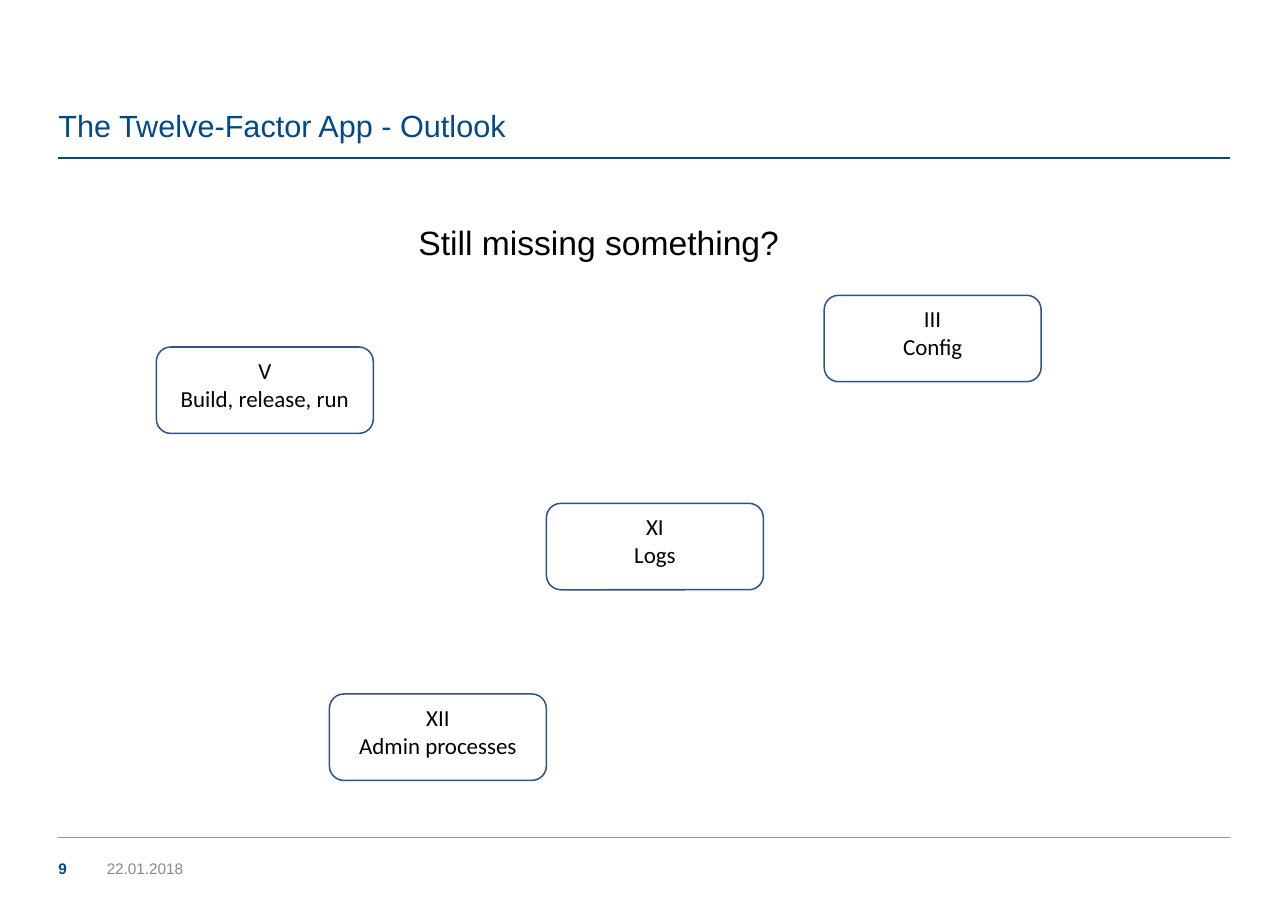
"""Build the outlook slide on the Twelve-Factor App."""
from pptx import Presentation
from pptx import util as u
from pptx.dml import color
from pptx.enum import shapes, text
from pptx.oxml.ns import qn

LEFT, RIGHT = 38.2, 803.5
FACTORS = [
    ("V", "Build, release, run", 102.2, 226.8),
    ("XI", "Logs", 357.1, 329),
    ("XII", "Admin processes", 215.3, 453.6),
    ("III", "Config", 538.6, 193),
]


def rgb(code):
    return color.RGBColor.from_string(code)


class OutlookSlide:
    blue, grey, black, white = "004A8C", "898989", "000000", "FFFFFF"

    def __init__(self, deck):
        self.page = deck.slides.add_slide(deck.slide_layouts[5])

    def set_text(self, box, lines, size, ink, font="Arial", align=text.PP_ALIGN.LEFT,
                 anchor=text.MSO_ANCHOR.TOP, insets=(0, 0, 0, 0), bold=False, wrap=True):
        frame = box.text_frame
        frame.auto_size = text.MSO_AUTO_SIZE.NONE
        frame.word_wrap = wrap
        frame.vertical_anchor = anchor
        (frame.margin_left, frame.margin_top,
         frame.margin_right, frame.margin_bottom) = map(u.Pt, insets)
        frame.text = "\n".join(lines)
        for para in frame.paragraphs:
            para.alignment = align
            para.font.name, para.font.size, para.font.bold = font, u.Pt(size), bold
            para.font.color.rgb = rgb(ink)

    def title(self, words):
        box = self.page.shapes.title
        box.left, box.top, box.width, box.height = map(u.Pt, (LEFT, 20.2, RIGHT - LEFT, 95.8))
        self.set_text(box, [words], 20, self.blue, anchor=text.MSO_ANCHOR.BOTTOM,
                      insets=(0, 0, 0, 22.3))

    def rule(self, y, ink, width):
        line = self.page.shapes.add_connector(
            shapes.MSO_CONNECTOR.STRAIGHT, *map(u.Pt, (LEFT, y, RIGHT, y)))
        line.line.color.rgb = rgb(ink)
        line.line.width = u.Pt(width)
        properties = line._element.spPr
        properties.append(properties.makeelement(qn("a:effectLst"), {}))

    def label(self, words, area, size, ink, **style):
        box = self.page.shapes.add_textbox(*map(u.Pt, area))
        self.set_text(box, [words], size, ink, **style)

    def factor(self, numeral, name, left, top):
        box = self.page.shapes.add_shape(
            shapes.MSO_SHAPE.ROUNDED_RECTANGLE, *map(u.Pt, (left, top, 141.8, 56.5)))
        box.shadow.inherit = False
        box.fill.solid()
        box.fill.fore_color.rgb = rgb(self.white)
        box.line.color.rgb = rgb("2F528F")
        box.line.width = u.Pt(1)
        self.set_text(box, [numeral, name], 15, self.black, font="Calibri",
                      align=text.PP_ALIGN.CENTER, insets=(7.2, 3.6, 7.2, 3.6), wrap=False)


def main():
    deck = Presentation()
    deck.slide_width, deck.slide_height = u.Pt(841.68), u.Pt(595.44)
    slide = OutlookSlide(deck)
    slide.rule(103.5, slide.blue, 1.5)
    slide.rule(547.2, "929395", 0.75)
    slide.title("The Twelve-Factor App - Outlook")
    middle = text.MSO_ANCHOR.MIDDLE
    slide.label("22.01.2018", (69.8, 551.5, 62.6, 31.7), 10, slide.grey, anchor=middle)
    slide.label("9", (LEFT, 551.5, 28, 31.7), 10, slide.blue, anchor=middle, bold=True)
    slide.label("Still missing something?", (266.4, 141.8, 266.4, 31.7), 22, slide.black,
                insets=(7.2, 3.6, 7.2, 3.6))
    for factor in FACTORS:
        slide.factor(*factor)
    deck.save("out.pptx")


if __name__ == "__main__":
    main()
